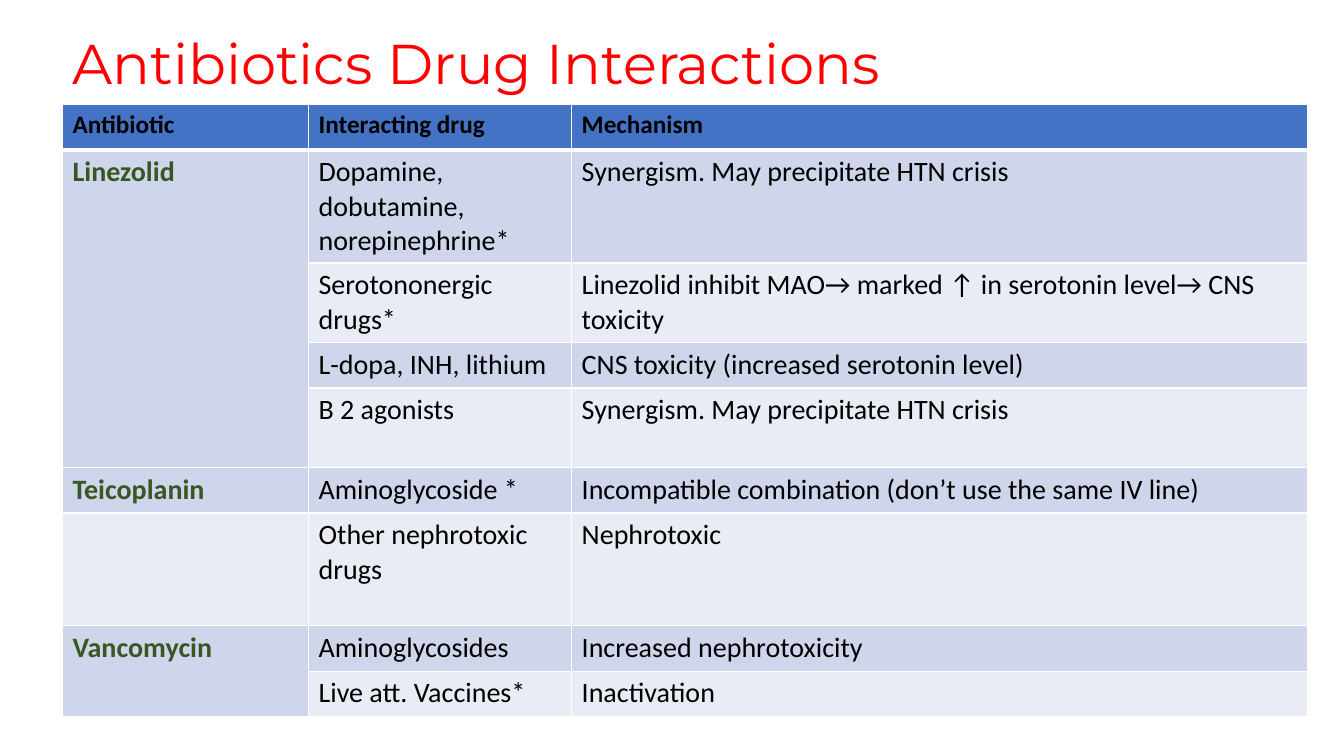
from lxml import etree
from pptx import Presentation
from pptx.dml.color import RGBColor
from pptx.enum.text import MSO_ANCHOR
from pptx.oxml.ns import qn
from pptx.util import Inches, Pt

MIDDLE = MSO_ANCHOR.MIDDLE
BLACK, WHITE, RED, GREEN = "000000", "FFFFFF", "FF0000", "385723"
HEADER_FILL, BANDS = "4472C4", ("CFD5EA", "E9EBF5")

COL_WIDTHS = (2.44, 2.61, 7.3)
ROW_HEIGHTS = (0.45, 1.12, 0.79, 0.45, 0.79, 0.45, 1.12, 0.45, 0.45)
ROWS = (
    ("Antibiotic", "Interacting drug", "Mechanism"),
    ("Linezolid", "Dopamine, dobutamine, norepinephrine*",
     "Synergism. May precipitate HTN crisis"),
    ("", "Serotononergic drugs*",
     "Linezolid inhibit MAO→ marked ↑ in serotonin level→ CNS toxicity"),
    ("", "L-dopa, INH, lithium", "CNS toxicity (increased serotonin level)"),
    ("", "B 2 agonists", "Synergism. May precipitate HTN crisis"),
    ("Teicoplanin", "Aminoglycoside *",
     "Incompatible combination (don’t use the same IV line)"),
    ("", "Other nephrotoxic drugs", "Nephrotoxic"),
    ("Vancomycin", "Aminoglycosides", "Increased nephrotoxicity"),
    ("", "Live att. Vaccines*", "Inactivation"),
)
MERGED_ROWS = ((1, 4), (7, 8))


def rgb(color):
    return RGBColor.from_string(color)


def add_run(p, text, size, font, color, bold=False):
    r = p.add_run()
    r.text = text
    r.font.size = Pt(size)
    r.font.name = font
    r.font.bold = bold
    r.font.color.rgb = rgb(color)


def set_borders(cell, top, bottom):
    """Draw white cell borders; top and bottom are widths in points."""
    tc_pr = cell._tc.get_or_add_tcPr()
    for side, width in (("L", 1), ("R", 1), ("T", top), ("B", bottom)):
        ln = etree.SubElement(tc_pr, qn(f"a:ln{side}"), w=str(Pt(width)))
        fill = etree.SubElement(ln, qn("a:solidFill"))
        etree.SubElement(fill, qn("a:srgbClr"), val=WHITE)


def add_title(s, left, top, width, height):
    box = s.shapes.add_textbox(Inches(left), Inches(top), Inches(width), Inches(height))
    tf = box.text_frame
    tf.word_wrap = True
    tf.vertical_anchor = MIDDLE
    p = tf.paragraphs[0]
    p.line_spacing = 0.9
    add_run(p, "Antibiotics Drug Interactions", 40, "Montserrat", RED)


def style_cell(cell, text, row, col):
    header = row == 0
    set_borders(cell, 3 if row == 1 else 1, 3 if header else 1)
    cell.fill.solid()
    cell.fill.fore_color.rgb = rgb(HEADER_FILL if header else BANDS[(row - 1) % 2])
    if text:
        drug_name = col == 0 and not header
        add_run(cell.text_frame.paragraphs[0], text, 18 if header else 20, "Calibri",
                GREEN if drug_name else BLACK, header or drug_name)


def add_interactions_table(s, left, top, width, height):
    frame = s.shapes.add_table(len(ROWS), len(COL_WIDTHS), Inches(left), Inches(top),
                               Inches(width), Inches(height))
    table = frame.table
    for column, col_width in zip(table.columns, COL_WIDTHS):
        column.width = Inches(col_width)
    for table_row, row_height in zip(table.rows, ROW_HEIGHTS):
        table_row.height = Inches(row_height)
    for row, texts in enumerate(ROWS):
        for col, text in enumerate(texts):
            style_cell(table.cell(row, col), text, row, col)
    for first, last in MERGED_ROWS:
        table.cell(first, 0).merge(table.cell(last, 0))


def main():
    prs = Presentation()
    prs.slide_width, prs.slide_height = Inches(13.33), Inches(7.5)
    s = prs.slides.add_slide(prs.slide_layouts[6])
    add_title(s, 0.62, 0.19, 11.5, 0.94)
    add_interactions_table(s, 0.62, 1.04, sum(COL_WIDTHS), sum(ROW_HEIGHTS))
    prs.save("out.pptx")


if __name__ == "__main__":
    main()
